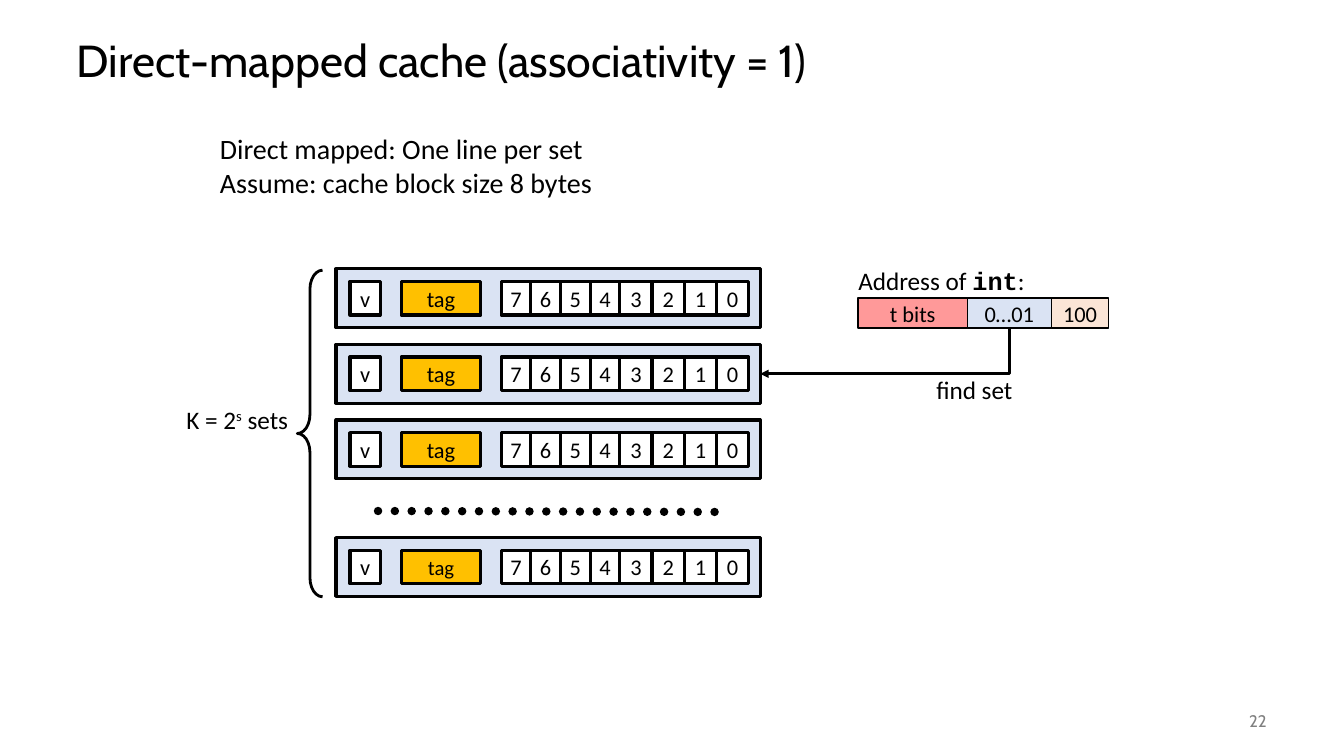
from dataclasses import dataclass

from lxml import etree
from pptx import Presentation
from pptx.dml.color import RGBColor
from pptx.enum.dml import MSO_LINE
from pptx.enum.shapes import MSO_CONNECTOR, MSO_SHAPE
from pptx.enum.text import MSO_ANCHOR, MSO_AUTO_SIZE, PP_ALIGN
from pptx.oxml.ns import qn
from pptx.util import Pt

RECT, BRACE = MSO_SHAPE.RECTANGLE, MSO_SHAPE.LEFT_BRACE
LINE, ELBOW = MSO_CONNECTOR.STRAIGHT, MSO_CONNECTOR.ELBOW
LEFT, MID, RIGHT = PP_ALIGN.LEFT, PP_ALIGN.CENTER, PP_ALIGN.RIGHT
CENTRE = MSO_ANCHOR.MIDDLE
NONE, GROW = MSO_AUTO_SIZE.NONE, MSO_AUTO_SIZE.SHAPE_TO_FIT_TEXT
DOTS = MSO_LINE.ROUND_DOT


@dataclass(frozen=True)
class Theme:
    black: RGBColor = RGBColor(0, 0, 0)
    white: RGBColor = RGBColor(255, 255, 255)
    grey: RGBColor = RGBColor.from_string("808080")
    blue: RGBColor = RGBColor.from_string("DAE3F3")
    gold: RGBColor = RGBColor.from_string("FFC000")
    pink: RGBColor = RGBColor.from_string("FF9999")
    peach: RGBColor = RGBColor.from_string("FBE5D6")
    head: str = "Cabin"
    body: str = "Calibri"
    code: str = "Courier New"
    title: float = 32
    note: float = 20
    label: float = 18
    cell: float = 16
    small: float = 14.8
    page: float = 12


T = Theme()

deck = Presentation()
deck.slide_width, deck.slide_height = Pt(960), Pt(540)
slide = deck.slides.add_slide(deck.slide_layouts[5])
shapes = slide.shapes


def add_box(x, y, w, h, fill, weight, text="", size=T.cell):
    box = shapes.add_shape(RECT, Pt(x), Pt(y), Pt(w), Pt(h))
    box.shadow.inherit = False
    box.fill.solid()
    box.fill.fore_color.rgb = fill
    box.line.color.rgb = T.black
    box.line.width = Pt(weight)
    frame = box.text_frame
    frame.word_wrap = False
    frame.vertical_anchor = CENTRE
    para = frame.paragraphs[0]
    para.text = text
    para.alignment = MID
    para.font.name, para.font.size = T.body, Pt(size)
    para.font.color.rgb = T.black
    return box


def add_label(x, y, w, h, lines, size=T.label):
    """Add a text box; each line is a list of run texts."""
    frame = shapes.add_textbox(Pt(x), Pt(y), Pt(w), Pt(h)).text_frame
    frame.word_wrap = False
    frame.auto_size = GROW
    for i, parts in enumerate(lines):
        para = frame.add_paragraph() if i else frame.paragraphs[0]
        for part in parts:
            para.add_run().text = part
        para.font.name, para.font.size = T.body, Pt(size)
        para.font.color.rgb = T.black
    return frame


# Title
title = shapes.title
title.left, title.top, title.width, title.height = Pt(47.5), Pt(18), Pt(864), Pt(54)
frame = title.text_frame
frame.text = "Direct-mapped cache (associativity = 1)"
frame.vertical_anchor = CENTRE
frame.auto_size = NONE
para = frame.paragraphs[0]
para.alignment, para.line_spacing = LEFT, 0.9
para.font.name, para.font.size = T.head, Pt(T.title)
para.font.color.rgb = T.black

# Notes and number of sets
add_label(150, 90.7, 283, 55.4, [["Direct mapped: One line per set"],
                                 ["Assume: cache block size 8 bytes"]], T.note)
brace = shapes.add_shape(BRACE, Pt(212.4), Pt(193), Pt(18), Pt(233.3))
brace.shadow.inherit = False
brace.fill.background()
brace.line.color.rgb = T.black
brace.line.width = Pt(2)
brace.adjustments[0], brace.adjustments[1] = 0.75, 0.5
count = add_label(126, 285.1, 90, 29, [["K = 2", "s", " sets"]])
count.paragraphs[0].runs[1].font._element.set("baseline", "30000")

# Cache sets, one line each
for top, size in ((192, T.cell), (246, T.cell), (300, T.cell), (384, T.small)):
    add_box(240, top, 303, 42, T.blue, 2.25)
    y = top + 9
    add_box(250, y, 21.6, 24, T.white, 2.25, "v")
    add_box(286.5, y, 57, 24, T.gold, 2.25, "tag", size)
    x = 358
    for byte in range(7, -1, -1):
        w = 21.2 if byte > 3 else 23
        add_box(x, y, w, 24, T.white, 2.25, str(byte))
        x += w

# Address of the int
x = 613
for text, w, fill in (("t bits", 78, T.pink), ("0…01", 60, T.blue), ("100", 41, T.peach)):
    add_box(x, 213, w, 21.3, fill, 1, text).text_frame.word_wrap = True
    x += w
name = add_label(606, 186, 134.6, 29, [["Address of ", "int", ":"]])
word = name.paragraphs[0].runs[1].font
word.name, word.bold = T.code, True
add_label(661.7, 263.5, 70.6, 29, [["find set"]])

# Omitted sets, and the arrow: a quarter-turned box around its centre
ax, ay, bx, by = 721, 234.3, 543, 267
w, h = by - ay, ax - bx
left, top = (ax + bx - w) / 2, (ay + by - h) / 2
dots = shapes.add_connector(LINE, Pt(270), Pt(365), Pt(516.2), Pt(365.7))
arrow = shapes.add_connector(ELBOW, Pt(left), Pt(top), Pt(left + w), Pt(top + h))
for link, weight in ((dots, 6), (arrow, 2)):
    link.line.color.rgb = T.black
    link.line.width = Pt(weight)
    etree.SubElement(link.element.spPr, qn("a:effectLst"))
dots.line.dash_style = DOTS
dots.element.spPr.find(qn("a:ln")).set("cap", "rnd")
shape = arrow.element.spPr
shape.find(qn("a:xfrm")).set("rot", "5400000")
shape.find(qn("a:prstGeom")).set("prst", "bentConnector2")
etree.SubElement(shape.find(qn("a:ln")), qn("a:tailEnd"), type="triangle")

# Page number
page = shapes.add_textbox(Pt(840), Pt(500.5), Pt(72), Pt(28.7)).text_frame
page.word_wrap = True
page.vertical_anchor = CENTRE
para = page.paragraphs[0]
para.text = "22"
para.alignment = RIGHT
para.font.name, para.font.size = T.head, Pt(T.page)
para.font.color.rgb = T.grey

deck.save("out.pptx")
